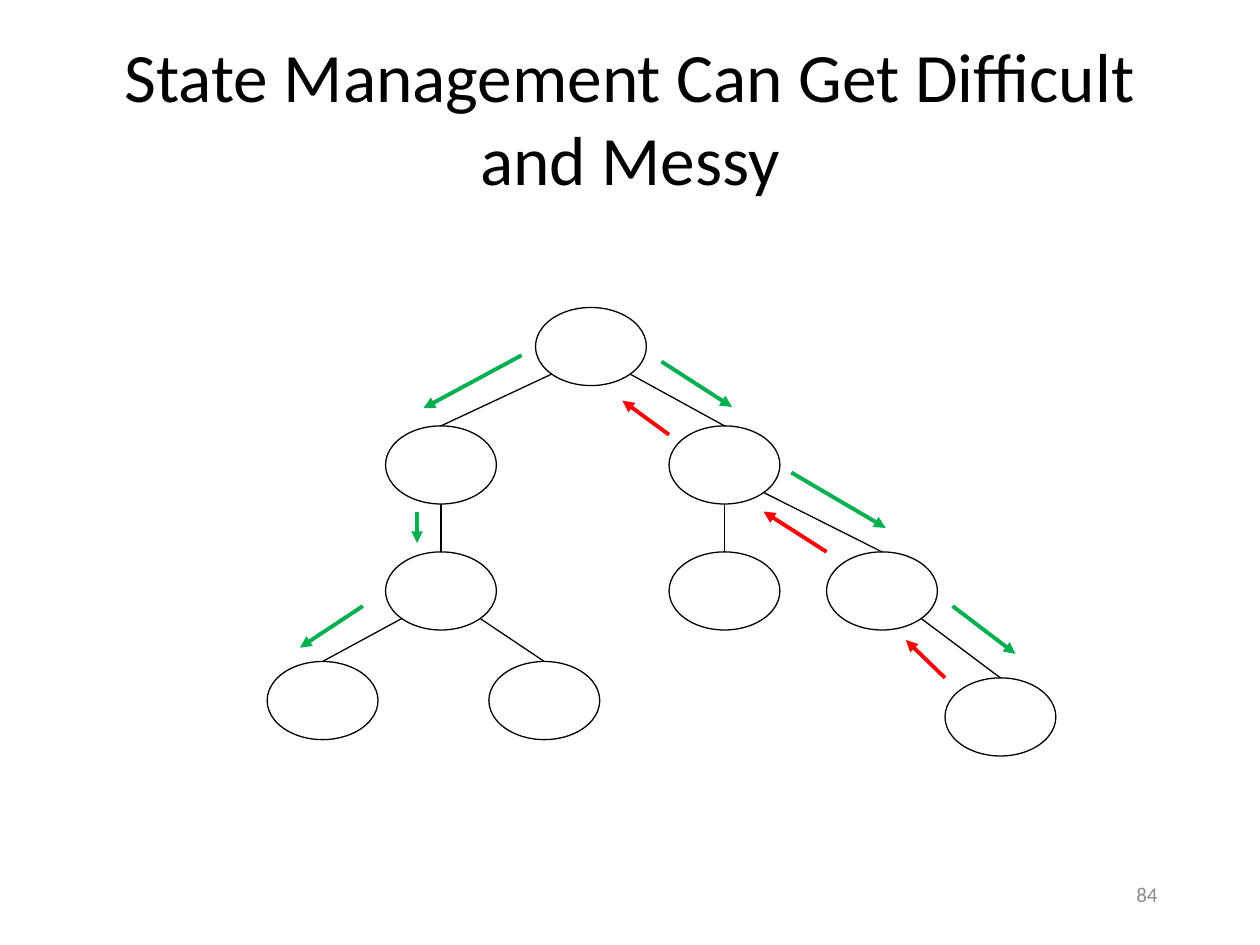
from math import sqrt

from lxml.etree import SubElement
from pptx import Presentation
from pptx.dml.color import RGBColor
from pptx.enum.shapes import MSO_CONNECTOR, MSO_SHAPE
from pptx.enum.text import MSO_ANCHOR, PP_ALIGN
from pptx.oxml.ns import qn
from pptx.util import Inches, Pt

COLORS = {"ink": "000000", "down": "00B050", "up": "FF0000", "number": "8C8C8C"}
NODE_W, NODE_H = 0.88, 0.62

NODES = {
    "root": (4.25, 2.44),
    "left": (3.06, 3.38),
    "right": (5.31, 3.38),
    "right_first": (5.31, 4.38),
    "right_second": (6.56, 4.38),
    "right_leaf": (7.5, 5.38),
    "left_child": (3.06, 4.38),
    "left_leaf_first": (2.12, 5.25),
    "left_leaf_second": (3.88, 5.25),
}

EDGES = [
    ("root", "left"),
    ("root", "right"),
    ("left", "left_child"),
    ("right", "right_first"),
    ("right", "right_second"),
    ("left_child", "left_leaf_first"),
    ("left_child", "left_leaf_second"),
    ("right_second", "right_leaf"),
]

FLOWS = {
    "down": [
        ((3.31, 4.06), (3.31, 4.31)),
        ((4.14, 2.82), (3.36, 3.24)),
        ((2.88, 4.81), (2.38, 5.14)),
        ((5.25, 2.87), (5.81, 3.23)),
        ((6.28, 3.75), (7.03, 4.19)),
        ((7.56, 4.81), (8.06, 5.19)),
    ],
    "up": [
        ((5.31, 3.45), (4.94, 3.18)),
        ((6.56, 4.38), (6.06, 4.06)),
        ((7.5, 5.38), (7.19, 5.08)),
    ],
}


def rgb(role):
    return RGBColor.from_string(COLORS[role])


def write_text(shape, text, size, role, align):
    frame = shape.text_frame
    frame.text = text
    frame.word_wrap = True
    frame.vertical_anchor = MSO_ANCHOR.MIDDLE
    paragraph = frame.paragraphs[0]
    paragraph.alignment = align
    font = paragraph.runs[0].font
    font.name = "Calibri"
    font.size = Pt(size)
    font.color.rgb = rgb(role)


def add_title(slide, text):
    title = slide.shapes.title
    title.left, title.top = Inches(0.5), Inches(0.3)
    title.width, title.height = Inches(9), Inches(1.25)
    write_text(title, text, 39.6, "ink", PP_ALIGN.CENTER)


def add_node(slide, left, top):
    node = slide.shapes.add_shape(
        MSO_SHAPE.OVAL, Inches(left), Inches(top), Inches(NODE_W), Inches(NODE_H)
    )
    node.shadow.inherit = False
    node.fill.background()
    node.line.color.rgb = rgb("ink")
    node.line.width = Pt(0.75)


def add_line(slide, start, end, role, width, arrow=False):
    line = slide.shapes.add_connector(
        MSO_CONNECTOR.STRAIGHT, *(Inches(value) for value in (*start, *end))
    )
    line.line.color.rgb = rgb(role)
    line.line.width = Pt(width)
    if arrow:
        SubElement(line.line._get_or_add_ln(), qn("a:tailEnd"), type="triangle")
    SubElement(line._element.spPr, qn("a:effectLst"))


def add_edge(slide, parent, child):
    parent_x, parent_y = NODES[parent]
    child_x, child_y = NODES[child]
    side = (child_x > parent_x) - (child_x < parent_x)
    drop = 1 / sqrt(2) if side else 1
    start = (
        parent_x + NODE_W / 2 * (1 + side / sqrt(2)),
        parent_y + NODE_H / 2 * (1 + drop),
    )
    add_line(slide, start, (child_x + NODE_W / 2, child_y), "ink", 0.75)


def add_slide_number(slide, number):
    box = slide.shapes.add_textbox(Inches(8.92), Inches(6.9), Inches(0.58), Inches(0.4))
    write_text(box, number, 12, "number", PP_ALIGN.LEFT)


def main():
    deck = Presentation()
    deck.slide_width, deck.slide_height = Inches(10), Inches(7.5)
    slide = deck.slides.add_slide(deck.slide_layouts[5])
    add_title(slide, "State Management Can Get Difficult and Messy")
    for left, top in NODES.values():
        add_node(slide, left, top)
    for parent, child in EDGES:
        add_edge(slide, parent, child)
    for direction, arrows in FLOWS.items():
        for start, end in arrows:
            add_line(slide, start, end, direction, 2.25, arrow=True)
    add_slide_number(slide, "84")
    deck.save("out.pptx")


if __name__ == "__main__":
    main()
